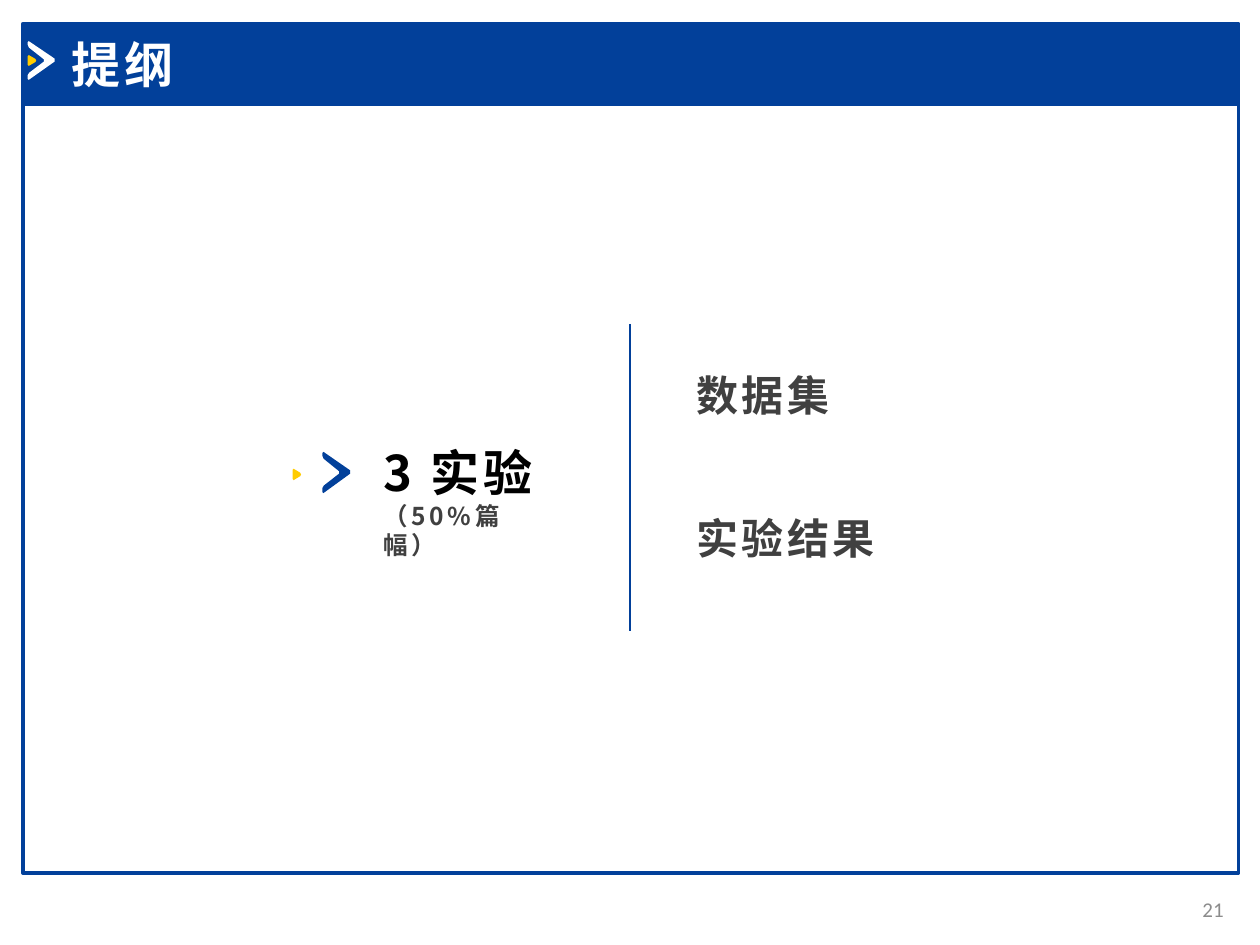
from pptx import Presentation, util as u
from pptx.dml.color import RGBColor
from pptx.enum import shapes, text
from pptx.oxml.ns import qn
from lxml import etree

THEME = {
    "blue": RGBColor.from_string("02409A"),
    "yellow": RGBColor.from_string("FFCC00"),
    "white": RGBColor.from_string("FFFFFF"),
    "black": RGBColor.from_string("000000"),
    "dark": RGBColor.from_string("404040"),
    "grey": RGBColor.from_string("8C8C8C"),
    "heading": u.Pt(28), "item": u.Pt(24), "note": u.Pt(14), "page": u.Pt(12),
    "latin": "Calibri", "cjk": "Noto Sans CJK SC",
}

# Outlines as fractions of their width and height
CHEVRON = [(0, .03), (.04, 0), (1, .45), (1, .53), (.04, 1), (0, .98),
           (0, .88), (.05, .82), (.6, .53), (.6, .47), (.05, .17), (0, .1)]
POINTER = [(0, .1), (.12, 0), (.9, .35), (1, .5), (.9, .65), (.12, 1), (0, .9)]


def write(paragraph, words, size, colour, font="cjk", bold=True):
    run = paragraph.add_run()
    run.text = words
    style = {"size": THEME[size], "bold": bold, "name": THEME[font]}
    for key, value in style.items():
        setattr(run.font, key, value)
    run.font.color.rgb = THEME[colour]
    properties = run.font._element
    etree.SubElement(properties, qn("a:ea")).set("typeface", THEME["cjk"])
    if bold:
        properties.set("spc", "200")


def place_text(box, lines, align=text.PP_ALIGN.LEFT, anchor=text.MSO_ANCHOR.TOP):
    frame = box.text_frame
    settings = {"word_wrap": True, "auto_size": text.MSO_AUTO_SIZE.NONE,
                "vertical_anchor": anchor}
    for key, value in settings.items():
        setattr(frame, key, value)
    for number, line in enumerate(lines):
        paragraph = frame.add_paragraph() if number else frame.paragraphs[0]
        paragraph.alignment = align
        write(paragraph, *line)


deck = Presentation()
deck.slide_width, deck.slide_height = u.Cm(25.4), u.Cm(19.05)
slide = deck.slides.add_slide(deck.slide_layouts[5])
parts = slide.shapes

# Page frame and title band
for top, height, filled in [(2.11, 15.49, False), (0.48, 1.63, True)]:
    panel = parts.add_shape(shapes.MSO_SHAPE.RECTANGLE,
                            u.Cm(0.46), u.Cm(top), u.Cm(24.51), u.Cm(height))
    panel.shadow.inherit = False
    if filled:
        panel.fill.solid()
        panel.fill.fore_color.rgb = THEME["blue"]
    else:
        panel.fill.background()
    panel.line.color.rgb = THEME["blue"]
    panel.line.width = u.Pt(2)

# Chevrons with yellow pointers, in the band and beside the section
for outline, colour, left, top, width, height in [
    (CHEVRON, "white", 0.56, 0.83, 0.54, 0.78),
    (POINTER, "yellow", 0.56, 1.11, 0.17, 0.22),
    (CHEVRON, "blue", 6.5, 9.11, 0.56, 0.83),
    (POINTER, "yellow", 5.9, 9.45, 0.17, 0.23),
]:
    corners = [(u.Cm(left + x * width), u.Cm(top + y * height)) for x, y in outline]
    builder = parts.build_freeform(*corners[0])
    builder.add_line_segments(corners[1:], close=True)
    mark = builder.convert_to_shape()
    mark.shadow.inherit = False
    mark.fill.solid()
    mark.fill.fore_color.rgb = THEME[colour]
    mark.line.fill.background()

# Title, raised above the band
title = parts.title
bounds = {"left": 1.19, "top": 0.56, "width": 9.04, "height": 1.45}
for key, value in bounds.items():
    setattr(title, key, u.Cm(value))
place_text(title, [("提纲", "heading", "white", "latin")])
parts._spTree.append(title._element)

# Section name
section = parts.add_textbox(u.Cm(7.49), u.Cm(8.79), u.Cm(3.81), u.Cm(2.06))
place_text(section, [("3 实验", "heading", "black"), ("（50%篇幅）", "note", "dark")])

# Divider
divider = parts.add_connector(shapes.MSO_CONNECTOR.STRAIGHT,
                              u.Cm(12.7), u.Cm(6.53), u.Cm(12.7), u.Cm(12.73))
divider.line.color.rgb = THEME["blue"]
divider.line.width = u.Pt(1.5)
etree.SubElement(divider._element.spPr, qn("a:effectLst"))

# Topics of the section
for number, topic in enumerate(["数据集", "实验结果"]):
    item = parts.add_textbox(u.Cm(13.79), u.Cm(7.32 + 2.89 * number),
                             u.Cm(6.55), u.Cm(1.27))
    place_text(item, [(topic, "item", "dark")])

# Page number
page = parts.add_textbox(u.Cm(23.42), u.Cm(17.81), u.Cm(1.5), u.Cm(1.02))
place_text(page, [("21", "page", "grey", "latin", False)],
           text.PP_ALIGN.RIGHT, text.MSO_ANCHOR.MIDDLE)

deck.save("out.pptx")
